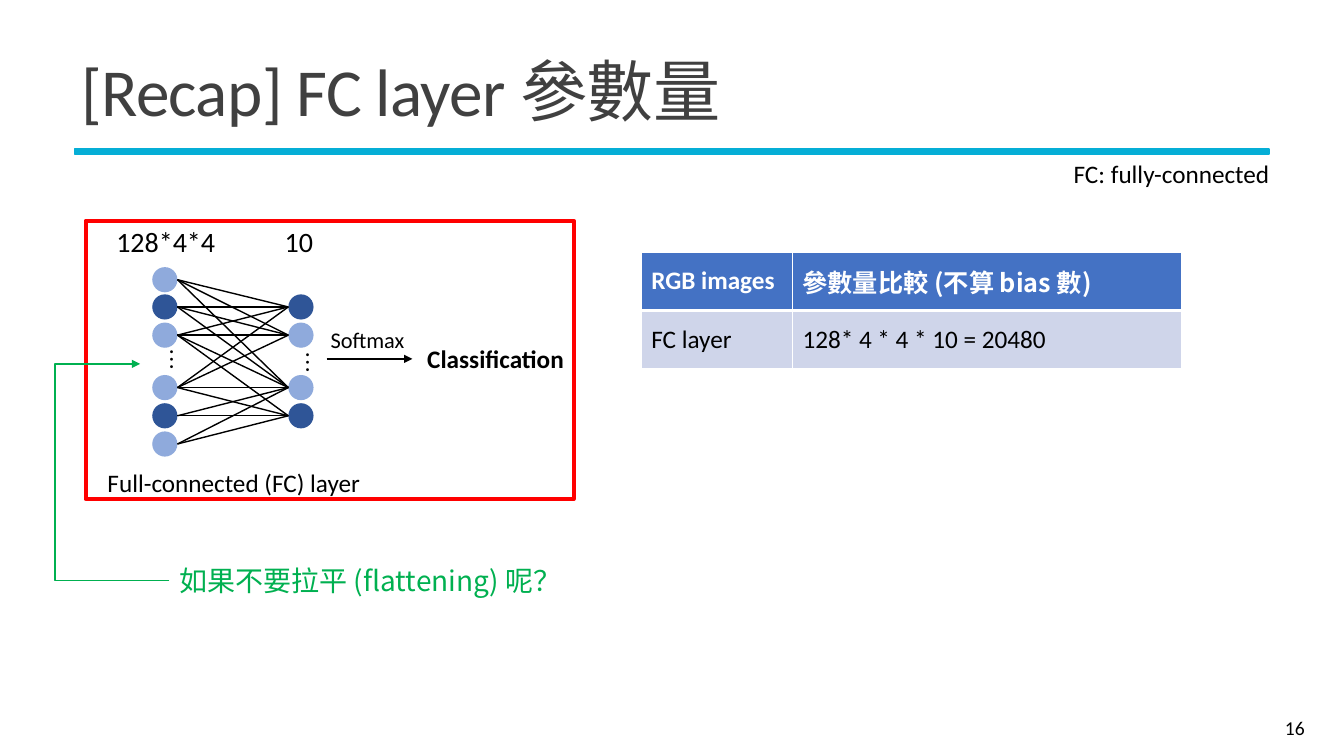
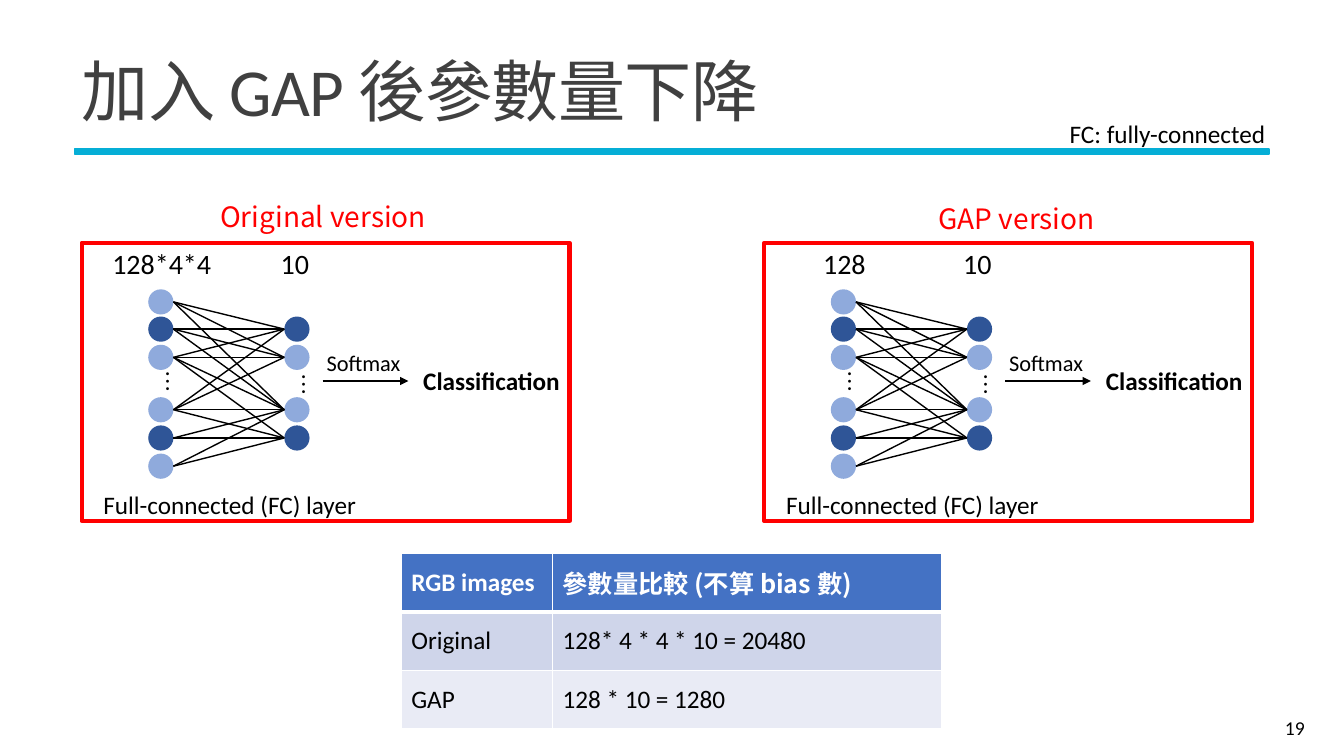
"""Build two slides that compare the parameter counts of a fully-connected layer and a GAP head."""
import pptx
import pptx.util
import pptx.dml.color
import pptx.enum.shapes
import pptx.enum.text
import pptx.oxml.ns
import lxml.etree

Inches = pptx.util.Inches
Pt = pptx.util.Pt
Shape = pptx.enum.shapes.MSO_SHAPE
Connector = pptx.enum.shapes.MSO_CONNECTOR
Align = pptx.enum.text.PP_ALIGN
Anchor = pptx.enum.text.MSO_ANCHOR
AutoSize = pptx.enum.text.MSO_AUTO_SIZE
RGB = pptx.dml.color.RGBColor.from_string
qn = pptx.oxml.ns.qn

COLORS = {
    "black": "000000", "white": "FFFFFF", "title": "404040", "band": "05AED6",
    "light_node": "8FAADC", "dark_node": "2F5597", "red": "FF0000", "green": "00B050",
    "table_head": "4472C4", "odd_row": "CFD5EA", "even_row": "E9EBF5",
}
LATIN = "Calibri"
CHINESE = "Noto Sans CJK TC"


def write_text(frame, text, size=18, color="black", font=LATIN, bold=False,
               align=Align.LEFT, anchor=Anchor.TOP, line_spacing=None, tracking=None):
    frame.word_wrap = True
    frame.vertical_anchor = anchor
    para = frame.paragraphs[0]
    para.alignment = align
    para.line_spacing = line_spacing
    span = para.add_run()
    span.text = text
    span.font.size = Pt(size)
    span.font.bold = bold
    span.font.color.rgb = RGB(COLORS[color])
    span.font.name = font
    properties = span.font._element
    lxml.etree.SubElement(properties, qn("a:ea"), typeface=CHINESE)
    if tracking is not None:
        properties.set("spc", str(int(tracking * 100)))


def draw_line(page, kind, begin, end, color="black", width=1, arrow=False):
    line = page.shapes.add_connector(kind, *[Inches(value) for value in (*begin, *end)])
    line.line.color.rgb = RGB(COLORS[color])
    line.line.width = Pt(width)
    if arrow:
        lxml.etree.SubElement(line.line._get_or_add_ln(), qn("a:tailEnd"), type="triangle")
    lxml.etree.SubElement(line._element.spPr, qn("a:effectLst"))
    return line


CENTER = {"align": Align.CENTER}
DOTS = {"size": 16, "font": CHINESE, "align": Align.CENTER}
COUNT = {"size": 20, "align": Align.CENTER}
VERSION = {"size": 20, "font": CHINESE, "color": "red", "align": Align.CENTER}
QUESTION = {"size": 20, "font": CHINESE, "color": "green"}
NUMBER = {"size": 14, "align": Align.RIGHT, "anchor": Anchor.MIDDLE}
NUMBER_PLACE = (11.61, 7.02, 1.43, 0.4)

TABLE_HEAD = ("RGB images", "參數量比較 (不算 bias 數)")
COLUMN_WIDTHS = (1.5, 3.86)
ROW_HEIGHT = 0.58

NODE = 0.25
INPUT_X, OUTPUT_X = 0.66, 2.01
INPUT_YS = (0.46, 0.73, 1.01, 1.53, 1.81, 2.09)
OUTPUT_YS = INPUT_YS[1:5]
INPUT_COLORS = ("light_node", "dark_node", "light_node") * 2
INPUT_COLORS = INPUT_COLORS[:3] + ("light_node", "dark_node", "light_node")
OUTPUT_COLORS = ("dark_node", "light_node", "light_node", "dark_node")
LINKS = ((0, 1, 2), (0, 1, 2), (0, 1, 2, 3), (0, 1, 2, 3), (2, 3), (2, 3))
ARROW_LENGTH = 0.85

SLIDES = [
    {
        "title": "[Recap] FC layer 參數量",
        "panels": [(0.85, 2.19, "128*4*4")],
        "table": (6.36, 2.5),
        "rows": [("FC layer", "128* 4 * 4 * 10 = 20480")],
        "labels": [
            ("16", NUMBER_PLACE, NUMBER),
            ("FC: fully-connected", (10.55, 1.52, 2.35, 0.4), {}),
            ("如果不要拉平 (flattening) 呢？", (1.68, 5.54, 4.17, 0.44), QUESTION),
        ],
    },
    {
        "title": "加入 GAP 後參數量下降",
        "panels": [(0.81, 2.41, "128*4*4"), (7.58, 2.41, "128")],
        "table": (3.98, 5.49),
        "rows": [("Original", "128* 4 * 4 * 10 = 20480"), ("GAP", "128 * 10 = 1280")],
        "labels": [
            ("19", NUMBER_PLACE, NUMBER),
            ("FC: fully-connected", (10.51, 1.12, 2.35, 0.4), {}),
            ("Original version", (1.37, 1.93, 3.67, 0.44), VERSION),
            ("GAP version", (8.25, 1.95, 3.67, 0.44), VERSION),
        ],
    },
]

deck = pptx.Presentation()
deck.slide_width = Inches(13.33)
deck.slide_height = Inches(7.5)

for content in SLIDES:
    page = deck.slides.add_slide(deck.slide_layouts[5])

    band = page.shapes.add_shape(
        Shape.RECTANGLE, Inches(0.74), Inches(1.48), Inches(11.85), Inches(0.05))
    band.shadow.inherit = False
    band.fill.solid()
    band.fill.fore_color.rgb = band.line.color.rgb = RGB(COLORS["band"])
    band.line.width = Pt(1.25)

    title = page.shapes.title
    title.left, title.top = Inches(0.71), Inches(0.39)
    title.width, title.height = Inches(11.94), Inches(1.13)
    title.text_frame.auto_size = AutoSize.NONE
    write_text(title.text_frame, content["title"], size=48, color="title",
               anchor=Anchor.MIDDLE, line_spacing=0.85, tracking=-0.5)

    rows = [TABLE_HEAD] + content["rows"]
    left, top = content["table"]
    table = page.shapes.add_table(
        len(rows), len(COLUMN_WIDTHS), Inches(left), Inches(top),
        Inches(sum(COLUMN_WIDTHS)), Inches(ROW_HEIGHT * len(rows))).table
    for column, width in zip(table.columns, COLUMN_WIDTHS):
        column.width = Inches(width)
    for row_index, texts in enumerate(rows):
        table.rows[row_index].height = Inches(ROW_HEIGHT)
        is_head = row_index == 0
        fill = "table_head" if is_head else ("even_row", "odd_row")[row_index % 2]
        borders = {"a:lnL": 1, "a:lnR": 1, "a:lnT": 1, "a:lnB": 3 if is_head else 1}
        if not is_head:
            del borders["a:lnT"]
        for column_index, text in enumerate(texts):
            cell = table.cell(row_index, column_index)
            properties = cell._tc.get_or_add_tcPr()
            for side, width in borders.items():
                border = lxml.etree.SubElement(properties, qn(side), w=str(Pt(width)))
                paint = lxml.etree.SubElement(border, qn("a:solidFill"))
                lxml.etree.SubElement(paint, qn("a:srgbClr"), val=COLORS["white"])
            cell.fill.solid()
            cell.fill.fore_color.rgb = RGB(COLORS[fill])
            write_text(cell.text_frame, text, bold=is_head,
                       color="white" if is_head else "black",
                       font=CHINESE if is_head and column_index == 1 else LATIN)
            cell.vertical_anchor = Anchor.MIDDLE

    labels = list(content["labels"])
    for left, top, input_count in content["panels"]:
        panel = page.shapes.add_shape(
            Shape.RECTANGLE, Inches(left), Inches(top), Inches(4.84), Inches(2.76))
        panel.shadow.inherit = False
        panel.fill.background()
        panel.line.color.rgb = RGB(COLORS["red"])
        panel.line.width = Pt(3)

        for x, ys, colors in ((INPUT_X, INPUT_YS, INPUT_COLORS),
                              (OUTPUT_X, OUTPUT_YS, OUTPUT_COLORS)):
            for y, color in zip(ys, colors):
                node = page.shapes.add_shape(
                    Shape.OVAL, Inches(left + x), Inches(top + y), Inches(NODE), Inches(NODE))
                node.shadow.inherit = False
                node.fill.solid()
                node.fill.fore_color.rgb = RGB(COLORS[color])
                node.line.fill.background()

        for y, targets in zip(INPUT_YS, LINKS):
            for target in targets:
                draw_line(page, Connector.STRAIGHT,
                          (left + INPUT_X + NODE, top + y + NODE / 2),
                          (left + OUTPUT_X, top + OUTPUT_YS[target] + NODE / 2))

        for text, x, y, width, height, style in (
            ("…", -0.18, 1.19, 2.07, 0.37, DOTS),
            ("…", 1.17, 1.22, 2.07, 0.37, DOTS),
            (input_count, -0.24, -0.01, 2.07, 0.44, COUNT),
            ("10", 1.08, -0.01, 2.07, 0.44, COUNT),
            ("Full-connected (FC) layer", -0.06, 2.4, 3.06, 0.4, CENTER),
            ("Softmax", 1.97, 1, 1.65, 0.37, {"size": 16, **CENTER}),
            ("Classification", 3.24, 1.17, 1.65, 0.4, {"bold": True, **CENTER}),
        ):
            labels.append((text, (left + x, top + y, width, height), style))

    for text, place, style in labels:
        box = page.shapes.add_textbox(*[Inches(value) for value in place])
        write_text(box.text_frame, text, **style)
        left_middle = (place[0], place[1] + place[3] / 2)
        if style is DOTS:
            box.rotation = 90
        elif text == "Classification":
            softmax_arrow = draw_line(
                page, Connector.STRAIGHT, (left_middle[0] - ARROW_LENGTH, left_middle[1]),
                left_middle, width=1.5, arrow=True)
            softmax_arrow.end_connect(box, 1)
        elif style is QUESTION:
            flatten_arrow = draw_line(page, Connector.ELBOW, left_middle, (1.39, 3.61),
                                      color="green", arrow=True)
            guides = flatten_arrow._element.spPr.find(qn("a:prstGeom")).get_or_add_avLst()
            lxml.etree.SubElement(guides, qn("a:gd"), name="adj1", fmla="val 390900")

deck.save("out.pptx")
